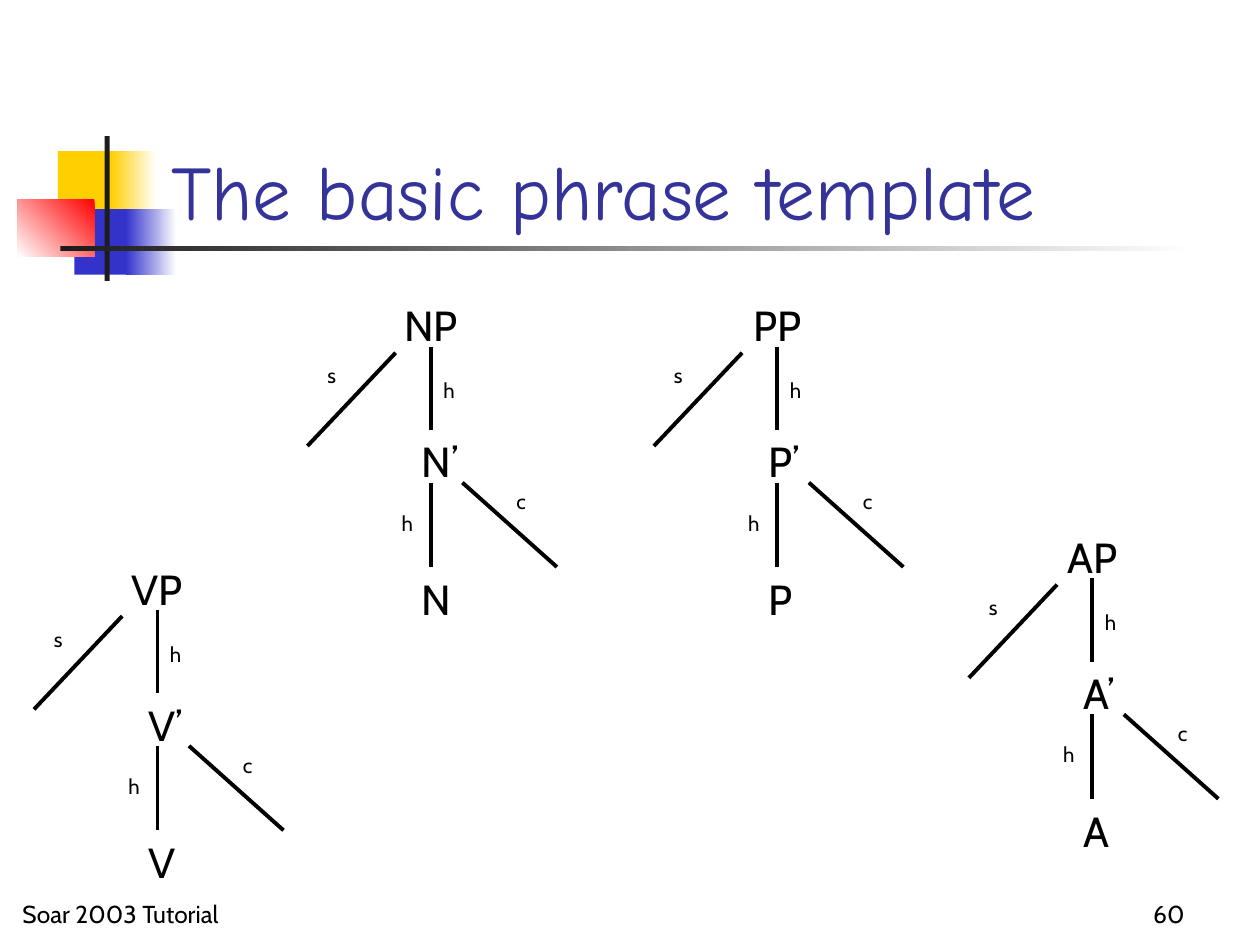
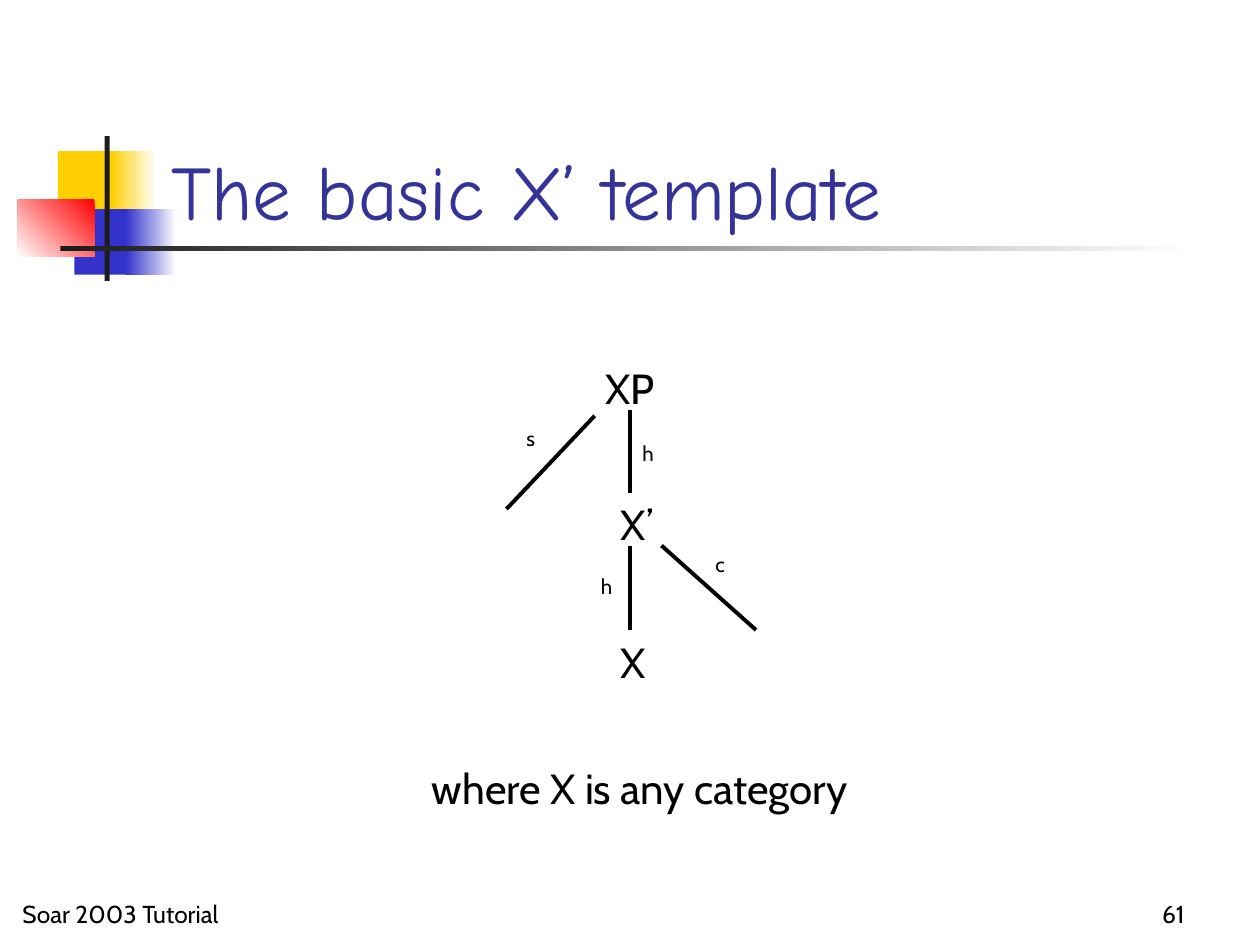
"""Build two slides of phrase-structure templates drawn as labelled trees."""
from dataclasses import dataclass

import pptx
import pptx.dml.color
import pptx.enum.shapes
import pptx.enum.text
import pptx.oxml
import pptx.util

PX = 9144
ANCHOR = pptx.enum.text.MSO_ANCHOR
ALIGN = pptx.enum.text.PP_ALIGN


@dataclass(frozen=True)
class Theme:
    white: str = "FFFFFF"
    yellow: str = "FFCF01"
    blue: str = "3333CC"
    red: str = "FF0000"
    charcoal: str = "1C1C1C"
    title_ink: str = "333399"
    ink: str = "000000"
    title_font: str = "Comic Neue"
    body_font: str = "Cabin"
    title_size: int = 44
    node_size: int = 24
    footer_size: int = 14
    role_size: int = 12
    branch_width: float = 2.25


theme = Theme()
rgb = pptx.dml.color.RGBColor.from_string


def add_text(shapes, text, box, size, color=theme.ink, font=theme.body_font,
             anchor=ANCHOR.TOP, align=ALIGN.LEFT):
    frame = shapes.add_textbox(*(PX * n for n in box)).text_frame
    frame.text = text
    frame.word_wrap = True
    frame.vertical_anchor = anchor
    frame.paragraphs[0].alignment = align
    run_font = frame.paragraphs[0].runs[0].font
    run_font.name = font
    run_font.size = pptx.util.Pt(size)
    run_font.color.rgb = rgb(color)


# Each ornament: left, top, width, height, first colour, last colour, angle
ORNAMENTS = [
    (46, 120, 48, 52, theme.yellow, None, 0),
    (88, 120, 36, 52, theme.yellow, theme.white, 0),
    (59, 166, 46, 52, theme.blue, None, 0),
    (100, 166, 40, 52, theme.blue, theme.white, 0),
    (14, 158, 61, 46, theme.red, theme.white, 225),
    (83, 108, 4, 115, theme.charcoal, None, 0),
    (48, 195, 900, 4, theme.charcoal, theme.white, 0),
]

# Tree parts are offsets from the trunk and the top of the phrase node
BRANCHES = [
    (0, 42, 0, 108),
    (0, 150, 0, 217),
    (-28, 47, -98, 121),
    (25, 150, 100, 217),
]
ROLES = [("h", -33, 167, 33), ("s", -92, 50, 25), ("c", 58, 150, 25), ("h", 0, 62, 33)]

SLIDES = [
    ("The basic phrase template", "60",
     [("N", 342, 233), ("V", 125, 442), ("P", 617, 233), ("A", 867, 417)], None),
    ("The basic X’ template", "61", [("X", 500, 283)], "where X is any category"),
]

deck = pptx.Presentation()
deck.slide_width = 1000 * PX
deck.slide_height = 750 * PX

for title, number, trees, caption in SLIDES:
    slide = deck.slides.add_slide(deck.slide_layouts[6])
    slide.background.fill.solid()
    slide.background.fill.fore_color.rgb = rgb(theme.white)

    for left, top, width, height, first, last, angle in ORNAMENTS:
        ornament = slide.shapes.add_shape(
            pptx.enum.shapes.MSO_SHAPE.RECTANGLE,
            left * PX, top * PX, width * PX, height * PX)
        ornament.shadow.inherit = False
        ornament.line.fill.background()
        if last:
            ornament.fill.gradient()
            ornament.fill.gradient_angle = angle
            for stop, color in zip(ornament.fill.gradient_stops, (first, last)):
                stop.color.rgb = rgb(color)
        else:
            ornament.fill.solid()
            ornament.fill.fore_color.rgb = rgb(first)

    add_text(slide.shapes, title, (126, 67, 852, 125), theme.title_size,
             theme.title_ink, theme.title_font, ANCHOR.BOTTOM)
    if caption:
        add_text(slide.shapes, caption, (333, 600, 417, 50), theme.node_size)

    for category, trunk, top in trees:
        tree = slide.shapes.add_group_shape().shapes
        add_text(tree, category + "P", (trunk - 40, top, 80, 50), theme.node_size,
                 anchor=ANCHOR.MIDDLE, align=ALIGN.CENTER)
        add_text(tree, category + "’", (trunk - 17, top + 108, 58, 50), theme.node_size)
        add_text(tree, category, (trunk - 17, top + 217, 67, 50), theme.node_size)
        for x1, y1, x2, y2 in BRANCHES:
            branch = tree.add_connector(
                pptx.enum.shapes.MSO_CONNECTOR.STRAIGHT,
                (trunk + x1) * PX, (top + y1) * PX, (trunk + x2) * PX, (top + y2) * PX)
            branch.line.color.rgb = rgb(theme.ink)
            branch.line.width = pptx.util.Pt(theme.branch_width)
            branch._element.spPr.append(pptx.oxml.parse_xml(
                '<a:effectLst xmlns:a="http://schemas.openxmlformats.org/drawingml/2006/main"/>'))
        for role, dx, dy, width in ROLES:
            add_text(tree, role, (trunk + dx, top + dy, width, 30), theme.role_size)

    add_text(slide.shapes, number, (742, 692, 208, 50), theme.footer_size,
             anchor=ANCHOR.BOTTOM, align=ALIGN.RIGHT)
    add_text(slide.shapes, "Soar 2003 Tutorial", (8, 692, 208, 50), theme.footer_size,
             anchor=ANCHOR.BOTTOM)

deck.save("out.pptx")
